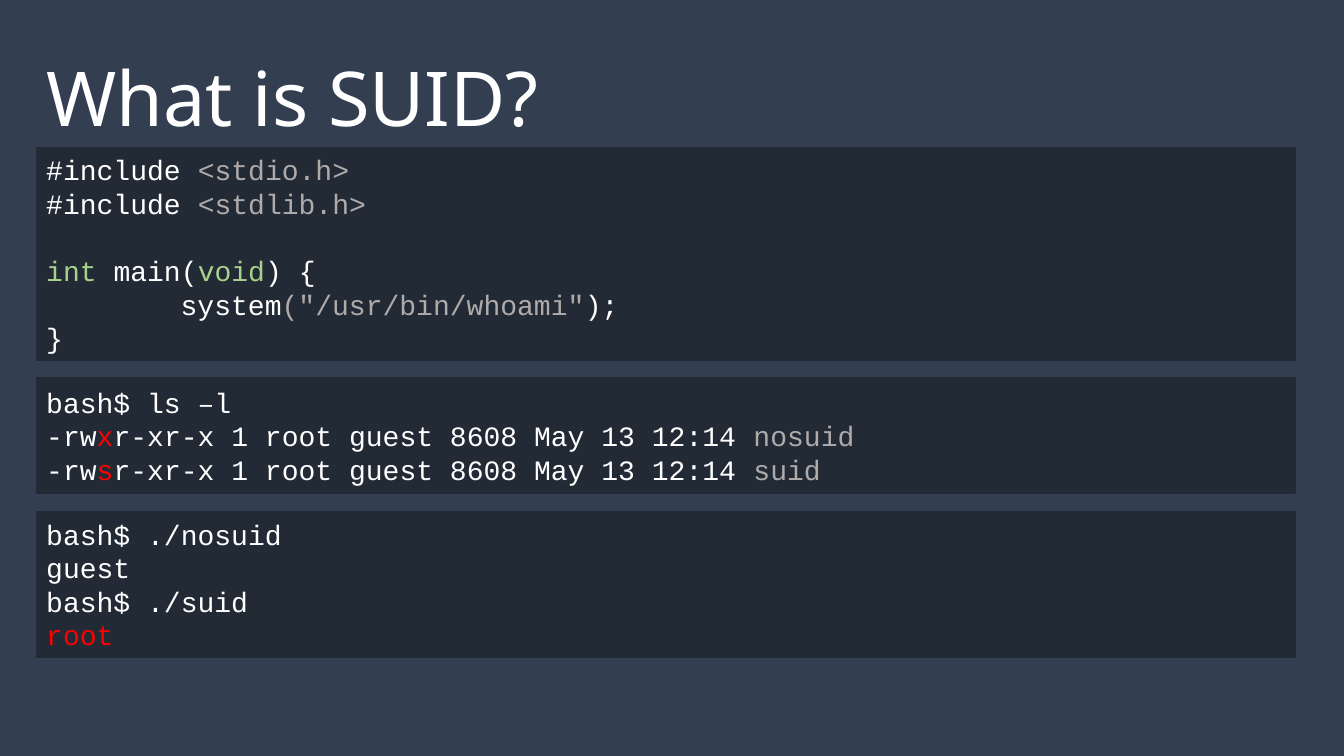
from pptx import Presentation
from pptx.dml.color import RGBColor
from pptx.enum.shapes import MSO_SHAPE
from pptx.enum.text import MSO_ANCHOR, PP_ALIGN
from pptx.util import Inches, Pt

WIDTH, HEIGHT = Inches(13.33), Inches(7.5)
LEFT, SPAN = 0.027, 0.937  # shares of the slide width
WHITE, GREY, GREEN, RED = "FFFFFF", "AFABAB", "A9D18E", "FF0000"
BACKDROP, PANEL = "333F50", "222A35"
CODE_SIZE = 20
LINE_HEIGHT = Pt(24)
INDENT = 8 * Pt(12)  # eight monospaced characters
TITLE_STYLE = {"name": "Noto Sans", "size": Pt(54)}
CODE_STYLE = {"name": "Courier New", "size": Pt(CODE_SIZE)}


def paint(fill, colour):
    fill.solid()
    fill.fore_color.rgb = RGBColor.from_string(colour)


def write_line(paragraph, pieces, style):
    """Write (text, colour) pieces as the runs of one line."""
    paragraph.alignment = PP_ALIGN.LEFT
    for text, colour in pieces:
        run = paragraph.add_run()
        run.text = text
        for key, value in style.items():
            setattr(run.font, key, value)
        paint(run.font.fill, colour)


def area(top, height):
    return (int(WIDTH * LEFT), int(HEIGHT * top),
            int(WIDTH * SPAN), int(HEIGHT * height))


def add_title(slide, text, top, height):
    frame = slide.shapes.add_textbox(*area(top, height)).text_frame
    frame.word_wrap = True
    frame.vertical_anchor = MSO_ANCHOR.MIDDLE
    write_line(frame.paragraphs[0], [(text, WHITE)], TITLE_STYLE)


def add_code_panel(slide, top, height, lines, gap_before=(), indented=()):
    panel = slide.shapes.add_shape(MSO_SHAPE.RECTANGLE, *area(top, height))
    panel.shadow.inherit = False
    paint(panel.fill, PANEL)
    paint(panel.line.fill, PANEL)
    panel.line.width = Pt(1)
    frame = panel.text_frame
    frame.word_wrap = True
    frame.vertical_anchor = MSO_ANCHOR.MIDDLE
    for number, pieces in enumerate(lines):
        paragraph = frame.add_paragraph() if number else frame.paragraphs[0]
        write_line(paragraph, pieces, CODE_STYLE)
        if number in gap_before:
            paragraph.space_before = LINE_HEIGHT
        if number in indented:
            paragraph._p.get_or_add_pPr().set("marL", str(INDENT))


def listing(flag, file_name):
    """One row of the directory listing, with its execute flag marked."""
    return [("-rw", WHITE), (flag, RED),
            ("r-xr-x 1 root guest 8608 May 13 12:14 ", WHITE),
            (file_name, GREY)]


def main():
    deck = Presentation()
    deck.slide_width, deck.slide_height = WIDTH, HEIGHT
    slide = deck.slides.add_slide(deck.slide_layouts[6])
    paint(slide.background.fill, BACKDROP)

    add_title(slide, "What is SUID?", 0.059, 0.136)

    # Source code
    includes = [[("#include ", WHITE), (header, GREY)]
                for header in ("<stdio.h>", "<stdlib.h>")]
    program = includes + [
        [("int", GREEN), (" main(", WHITE), ("void", GREEN), (") {", WHITE)],
        [("system", WHITE), ('("/usr/bin/whoami"', GREY), (");", WHITE)],
        [("}", WHITE)],
    ]
    add_code_panel(slide, 0.195, 0.281, program, gap_before=[2], indented=[3])

    # File permissions
    add_code_panel(slide, 0.5, 0.152, [
        [("bash$ ls –l", WHITE)],
        listing("x", "nosuid"),
        listing("s", "suid"),
    ])

    # Output of both programs
    add_code_panel(slide, 0.677, 0.192, [
        [("bash$ ./nosuid", WHITE)],
        [("guest", WHITE)],
        [("bash$ ./suid", WHITE)],
        [("root", RED)],
    ])

    deck.save("out.pptx")


main()
